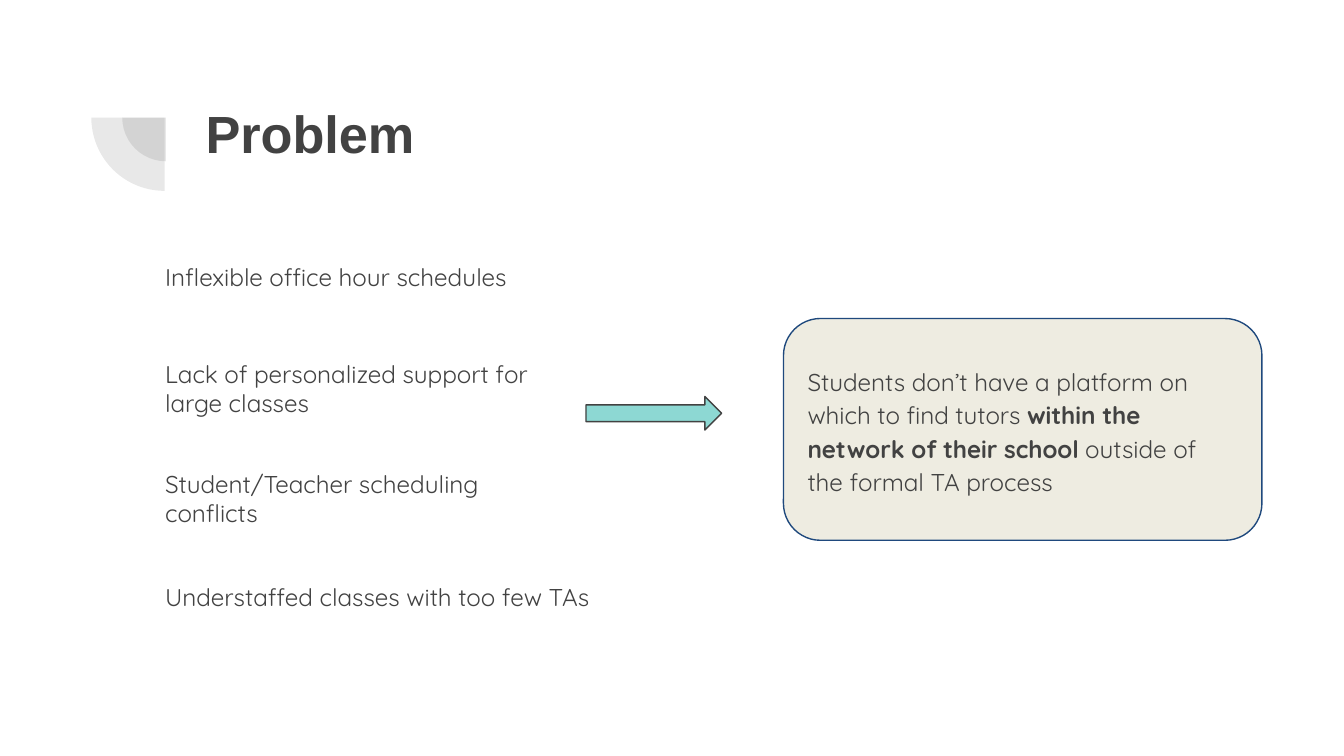
from dataclasses import dataclass

from lxml.etree import SubElement
from pptx import Presentation
from pptx.dml.color import RGBColor
from pptx.enum.shapes import MSO_SHAPE as Shape
from pptx.enum.text import MSO_ANCHOR as Anchor, MSO_AUTO_SIZE as AutoSize, PP_ALIGN as Align
from pptx.oxml.ns import qn
from pptx.util import Inches, Pt

INK, TEAL, CREAM, NAVY = "424242", "8DD8D3", "EEECE1", "1F497D"
BODY_FONT, BODY_SIZE = "Quicksand", 13


@dataclass
class Box:
    left: float
    top: float
    width: float
    height: float

    def lengths(self):
        return [Inches(v) for v in (self.left, self.top, self.width, self.height)]


@dataclass
class Problem:
    text: str
    top: float
    width: float = 3.11


PROBLEMS = [
    Problem("Inflexible office hour schedules", 1.85),
    Problem("Lack of personalized support for large classes", 2.57),
    Problem("Student/Teacher scheduling conflicts", 3.39),
    Problem("Understaffed classes with too few TAs", 4.23, 3.62),
]
CALLOUT = [
    ("Students don’t have a platform on which to find tutors ", False),
    ("within the network of their school", True),
    (" outside of the formal TA process", False),
]
QUARTERS = [Box(0.91, 0.55, 0.65, 0.65), Box(0.68, 0.33, 1.09, 1.09)]


def paint(color_format, color: str):
    color_format.rgb = RGBColor.from_string(color)


def format_frame(tf, anchor=Anchor.TOP):
    tf.word_wrap = True
    tf.auto_size = AutoSize.NONE
    tf.vertical_anchor = anchor
    tf.margin_left = tf.margin_right = tf.margin_top = tf.margin_bottom = Inches(0.1)


def format_paragraph(p, font: str = BODY_FONT, size: float = BODY_SIZE):
    p.alignment = Align.LEFT
    p.font.name = font
    p.font.size = Pt(size)
    paint(p.font.color, INK)


def add_filled(slide, kind, box: Box, fill: str, line: str | None = None):
    s = slide.shapes.add_shape(kind, *box.lengths())
    s.shadow.inherit = False
    s.fill.solid()
    paint(s.fill.fore_color, fill)
    if line:
        paint(s.line.color, line)
        s.line.width = Pt(0.75)
    else:
        s.line.fill.background()
    return s


def add_quarter(slide, box: Box):
    """Add a see-through quarter disc, turned to the lower left."""
    s = add_filled(slide, Shape.PIE, box, INK)
    s.adjustments[0], s.adjustments[1] = 108, 162
    s.rotation = 270
    color = s.element.spPr.find(qn("a:solidFill"))[0]
    SubElement(color, qn("a:alpha"), val="12000")


def add_title(slide, text: str):
    title = slide.shapes.title
    title.left, title.top, title.width, title.height = Box(1.43, 0.65, 7.69, 1.09).lengths()
    format_frame(title.text_frame)
    title.text_frame.text = text
    p = title.text_frame.paragraphs[0]
    format_paragraph(p, "Arial", 28)
    p.font.bold = True


def add_problem(slide, problem: Problem):
    s = slide.shapes.add_textbox(*Box(1.13, problem.top, problem.width, 0.63).lengths())
    format_frame(s.text_frame)
    s.text_frame.text = problem.text
    format_paragraph(s.text_frame.paragraphs[0])


def add_callout(slide):
    s = add_filled(slide, Shape.ROUNDED_RECTANGLE, Box(5.83, 2.37, 3.56, 1.65), CREAM, NAVY)
    format_frame(s.text_frame, Anchor.MIDDLE)
    p = s.text_frame.paragraphs[0]
    format_paragraph(p)
    p.line_spacing = 1.15
    p.space_after = Pt(12)
    for text, bold in CALLOUT:
        r = p.add_run()
        r.text = text
        r.font.bold = bold


def main():
    prs = Presentation()
    prs.slide_width = Inches(10)
    prs.slide_height = prs.slide_width * 9 // 16
    slide = prs.slides.add_slide(prs.slide_layouts[5])
    for box in QUARTERS:
        add_quarter(slide, box)
    add_title(slide, "Problem")
    add_callout(slide)
    for problem in PROBLEMS:
        add_problem(slide, problem)
    add_filled(slide, Shape.RIGHT_ARROW, Box(4.36, 2.95, 1.01, 0.25), TEAL, INK)
    prs.save("out.pptx")


if __name__ == "__main__":
    main()
